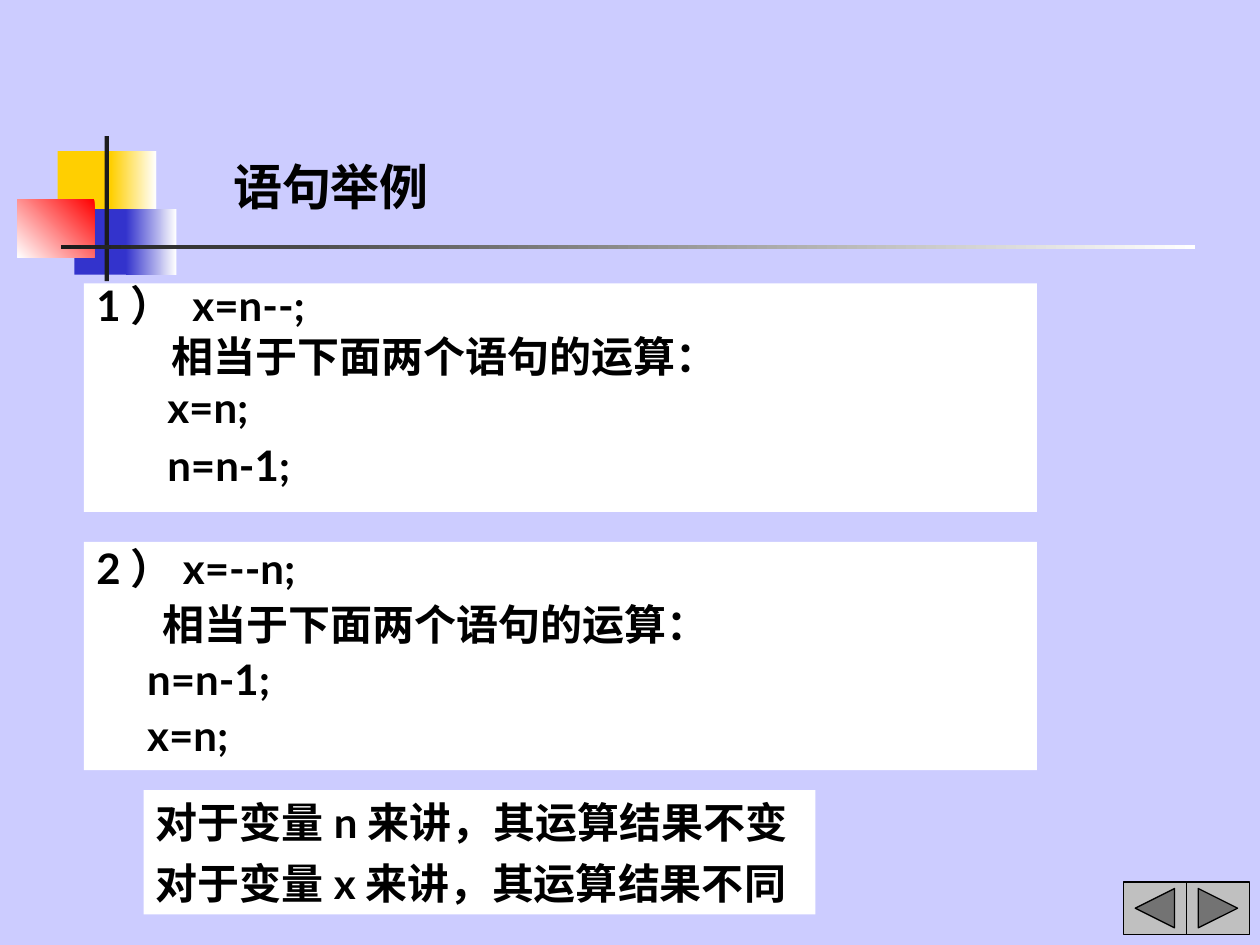
from dataclasses import dataclass
from typing import NamedTuple

from pptx import Presentation
from pptx.dml.color import RGBColor
from pptx.enum.shapes import MSO_SHAPE
from pptx.enum.text import MSO_ANCHOR, MSO_AUTO_SIZE, PP_ALIGN
from pptx.util import Pt


@dataclass(frozen=True)
class Theme:
    background: str = "CCCCFF"
    panel: str = "FFFFFF"
    ink: str = "000000"
    yellow: str = "FFCF01"
    blue: str = "3333CC"
    red: str = "FF0000"
    rule: str = "1C1C1C"
    button: str = "C0C0C0"
    latin: str = "Lato"
    chinese: str = "Times New Roman"
    title_size: int = 28
    body_size: int = 24


class Frame(NamedTuple):
    left: float
    top: float
    width: float
    height: float


class Ornament(NamedTuple):
    frame: Frame
    color: str
    fade_angle: float | None = None


class Span(NamedTuple):
    text: str
    font: str


class Line(NamedTuple):
    spans: list[Span]
    indent: float = 0
    before: float = 6


class Panel(NamedTuple):
    frame: Frame
    spacing: float
    lines: list[Line]


THEME = Theme()


def code(text: str) -> Span:
    return Span(text, THEME.latin)


def prose(text: str) -> Span:
    return Span(text, THEME.chinese)


def conclusion(variable: str, result: str) -> Line:
    return Line([prose("对于变量"), code(variable), prose(f"来讲，其运算结果{result}")])


ORNAMENTS = [
    Ornament(Frame(33, 86.4, 34.5, 37.5), THEME.yellow),
    Ornament(Frame(63.4, 86.4, 25.9, 37.5), THEME.yellow, 0),
    Ornament(Frame(42.5, 119.5, 33.1, 37.5), THEME.blue),
    Ornament(Frame(72, 119.5, 28.8, 37.5), THEME.blue, 0),
    Ornament(Frame(10, 113.8, 44, 33.2), THEME.red, 225),
    Ornament(Frame(59.8, 77.8, 2.4, 82.8), THEME.rule),
    Ornament(Frame(34.8, 140, 648, 2.5), THEME.rule, 0),
]

EQUIVALENT = prose("相当于下面两个语句的运算：")

PANELS = [
    Panel(Frame(48, 162, 544.5, 130.5), 0.8, [
        Line([code("1） x=n--;")]),
        Line([EQUIVALENT], 43),
        Line([code("x=n;")], 40.5),
        Line([code("n=n-1;")], 40.5, 10),
    ]),
    Panel(Frame(82, 451.5, 384, 71), 1, [
        conclusion("n", "不变"),
        conclusion("x", "不同"),
    ]),
    Panel(Frame(48, 309.6, 544.5, 130.5), 0.9, [
        Line([code("2）x=--n;")]),
        Line([EQUIVALENT], 38),
        Line([code("n=n-1;")], 29),
        Line([code("x=n;")], 29),
    ]),
]

BUTTON = Frame(642, 504, 36, 30)
BUTTON_KINDS = [
    MSO_SHAPE.ACTION_BUTTON_BACK_OR_PREVIOUS,
    MSO_SHAPE.ACTION_BUTTON_FORWARD_OR_NEXT,
]


def apply(target, formats: dict) -> None:
    for name, value in formats.items():
        setattr(target, name, value)


def place(frame: Frame) -> dict:
    return {name: Pt(value) for name, value in frame._asdict().items()}


def set_font(font, name: str, size: int) -> None:
    apply(font, {"name": name, "size": Pt(size), "bold": True})
    font.color.rgb = RGBColor.from_string(THEME.ink)


def add_filled(page, kind, frame: Frame, color: str):
    """Add a shape with a plain fill, no outline and no shadow."""
    shape = page.shapes.add_shape(kind, *place(frame).values())
    shape.shadow.inherit = False
    shape.fill.solid()
    shape.fill.fore_color.rgb = RGBColor.from_string(color)
    shape.line.fill.background()
    return shape


def add_ornament(page, ornament: Ornament) -> None:
    shape = add_filled(page, MSO_SHAPE.RECTANGLE, ornament.frame, ornament.color)
    if ornament.fade_angle is None:
        return
    shape.fill.gradient()
    shape.fill.gradient_angle = ornament.fade_angle
    for stop, color, position in zip(
        shape.fill.gradient_stops, (ornament.color, THEME.panel), (0, 1)
    ):
        stop.color.rgb = RGBColor.from_string(color)
        stop.position = position


def add_panel(page, panel: Panel) -> None:
    box = add_filled(page, MSO_SHAPE.RECTANGLE, panel.frame, THEME.panel)
    text = box.text_frame
    apply(text, {"word_wrap": True, "vertical_anchor": MSO_ANCHOR.TOP})
    for index, line in enumerate(panel.lines):
        para = text.add_paragraph() if index else text.paragraphs[0]
        apply(para, {
            "alignment": PP_ALIGN.JUSTIFY,
            "line_spacing": panel.spacing,
            "space_before": Pt(line.before if index else 0),
        })
        if line.indent:
            para._p.get_or_add_pPr().set("marL", str(Pt(line.indent)))
        for span in line.spans:
            run = para.add_run()
            run.text = span.text
            set_font(run.font, span.font, THEME.body_size)


def add_button(page, kind, frame: Frame) -> None:
    button = add_filled(page, kind, frame, THEME.button)
    button.line.color.rgb = RGBColor.from_string(THEME.ink)
    button.line.width = Pt(0.75)


def set_title(page, words: str) -> None:
    title = page.shapes.title
    apply(title, place(Frame(126, 77.8, 185, 49)))
    text = title.text_frame
    text.text = words
    apply(text, {
        "word_wrap": True,
        "auto_size": MSO_AUTO_SIZE.NONE,
        "vertical_anchor": MSO_ANCHOR.BOTTOM,
    })
    para = text.paragraphs[0]
    para.alignment = PP_ALIGN.LEFT
    set_font(para.runs[0].font, THEME.latin, THEME.title_size)


def main() -> None:
    deck = Presentation()
    apply(deck, {"slide_width": Pt(720), "slide_height": Pt(540)})
    page = deck.slides.add_slide(deck.slide_layouts[5])
    page.background.fill.solid()
    page.background.fill.fore_color.rgb = RGBColor.from_string(THEME.background)
    set_title(page, "语句举例")
    for ornament in ORNAMENTS:
        add_ornament(page, ornament)
    for panel in PANELS:
        add_panel(page, panel)
    for index, kind in enumerate(BUTTON_KINDS):
        add_button(page, kind, BUTTON._replace(left=BUTTON.left + index * BUTTON.width))
    deck.save("out.pptx")


if __name__ == "__main__":
    main()
